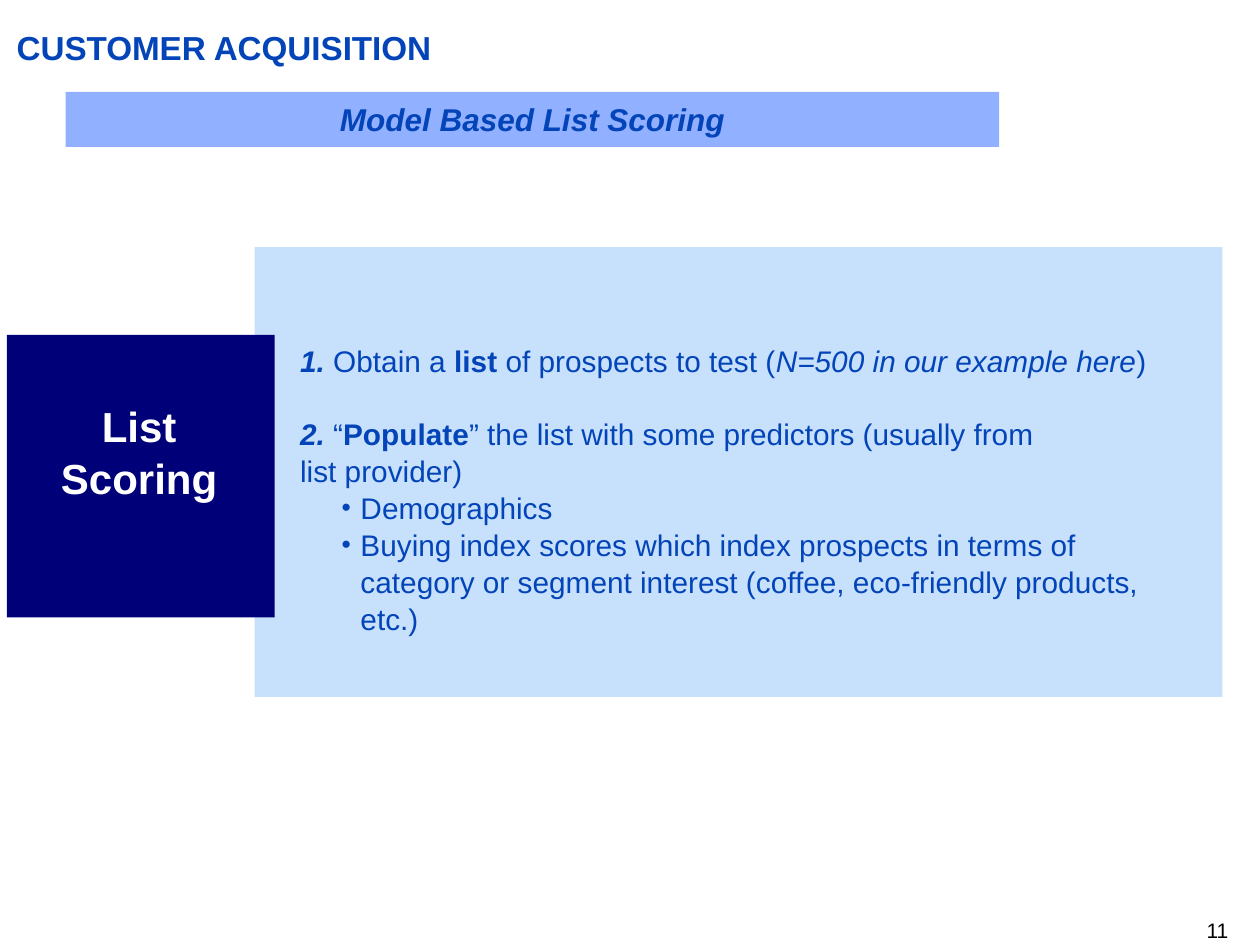
from dataclasses import dataclass
from lxml.etree import SubElement
from pptx import Presentation
from pptx.dml.color import RGBColor as RGB
from pptx.enum.shapes import MSO_SHAPE as Shape
from pptx.enum.text import MSO_ANCHOR as Anchor, MSO_AUTO_SIZE as Fit, PP_ALIGN as Align
from pptx.oxml.ns import qn
from pptx.util import Pt


@dataclass(frozen=True)
class Theme:
    face: str = "Arial"
    blue: RGB = RGB(0x03, 0x44, 0xB9)
    navy: RGB = RGB(0x00, 0x00, 0x78)
    sky: RGB = RGB(0xC7, 0xE0, 0xFB)
    bar: RGB = RGB(0x91, 0xB0, 0xFF)
    white: RGB = RGB(0xFF, 0xFF, 0xFF)
    black: RGB = RGB(0, 0, 0)
    title: int = 19
    head: int = 18
    label: int = 24
    body: int = 17
    page: int = 12
    lead: float = 1.04


T = Theme()


def frame(shape, box, pad=(0, 0)):
    """Place a text shape and return its emptied, wrapping text frame."""
    shape.left, shape.top, shape.width, shape.height = map(Pt, box)
    tf = shape.text_frame
    tf.word_wrap, tf.auto_size = True, Fit.NONE
    tf.vertical_anchor = Anchor.TOP
    tf.margin_left = tf.margin_right = Pt(pad[0])
    tf.margin_top = tf.margin_bottom = Pt(pad[1])
    return tf


def style(par, size, color, align=Align.LEFT, bold=None, italic=None):
    par.alignment, par.line_spacing, par.space_before = align, T.lead, Pt(0)
    font = par.font
    font.name, font.size, font.bold, font.italic = T.face, Pt(size), bold, italic
    font.color.rgb = color


deck = Presentation()
deck.slide_width, deck.slide_height = Pt(720), Pt(540)
slide = deck.slides.add_slide(deck.slide_layouts[1])
shapes = slide.shapes

# Title
title = frame(shapes.title, (9.5, 14.4, 692.5, 23))
title.text = "CUSTOMER ACQUISITION"
style(title.paragraphs[0], T.title, T.blue, bold=True)

# Panels, from back to front
panels = []
for box, fill in [
    ((145.5, 141.3, 553, 257), T.sky),
    ((4, 191.4, 153, 161.5), T.navy),
    ((37.5, 52.5, 533.5, 31.5), T.bar),
]:
    panel = shapes.add_shape(Shape.RECTANGLE, *map(Pt, box))
    panel.shadow.inherit = False
    panel.fill.solid()
    panel.fill.fore_color.rgb = fill
    panel.line.fill.background()
    panels.append(panel)

head = frame(panels[2], (37.5, 52.5, 533.5, 31.5), (7.2, 3.6))
head.text = "Model Based List Scoring"
style(head.paragraphs[0], T.head, T.blue, Align.CENTER, True, True)

# Side label and page number
for text, box, pad, size, color, align, bold in [
    ("List Scoring", (13.5, 224, 132, 65.5), (7.2, 3.6), T.label, T.white, Align.CENTER, True),
    ("11", (552, 523.5, 150, 14.4), (0, 0), T.page, T.black, Align.RIGHT, False),
]:
    tf = frame(shapes.add_textbox(0, 0, 0, 0), box, pad)
    tf.text = text
    style(tf.paragraphs[0], size, color, align, bold)

# Steps: each run is text, bold, italic
holder = slide.placeholders[1]
body = frame(holder, (171.5, 195, 512, 195))
steps = [
    [("1.", True, True), (" Obtain a ", False, False), ("list", True, False),
     (" of prospects to test (", False, False),
     ("N=500 in our example here", False, True), (")", False, False)],
    [("2.", True, True), (" “", False, False), ("Populate", True, False),
     ("” the list with some predictors (usually from", False, False),
     None, ("list provider)", False, False)],
]
for i, runs in enumerate(steps):
    par = body.add_paragraph() if i else body.paragraphs[0]
    props = par._p.get_or_add_pPr()
    props.set("marL", "0")
    props.set("indent", "0")
    SubElement(props, qn("a:buNone"))
    style(par, T.body, T.blue)
    if i:
        par.space_before = Pt(20.4)
    for part in runs:
        if part is None:
            par.add_line_break()
            continue
        run = par.add_run()
        run.text, run.font.bold, run.font.italic = part

for text in [
    "Demographics",
    "Buying index scores which index prospects in terms of category or segment "
    "interest (coffee, eco-friendly products, etc.)",
]:
    par = body.add_paragraph()
    par.text, par.level = text, 3
    props = par._p.get_or_add_pPr()
    props.set("marL", str(Pt(34.5)))
    props.set("indent", str(Pt(-10.8)))
    SubElement(props, qn("a:buSzPct")).set("val", "89000")
    SubElement(props, qn("a:buFont")).set("typeface", T.face)
    SubElement(props, qn("a:buChar")).set("char", "•")
    style(par, T.body, T.blue)

# Bring the steps in front of the panels
shapes._spTree.append(holder._element)

deck.save("out.pptx")
